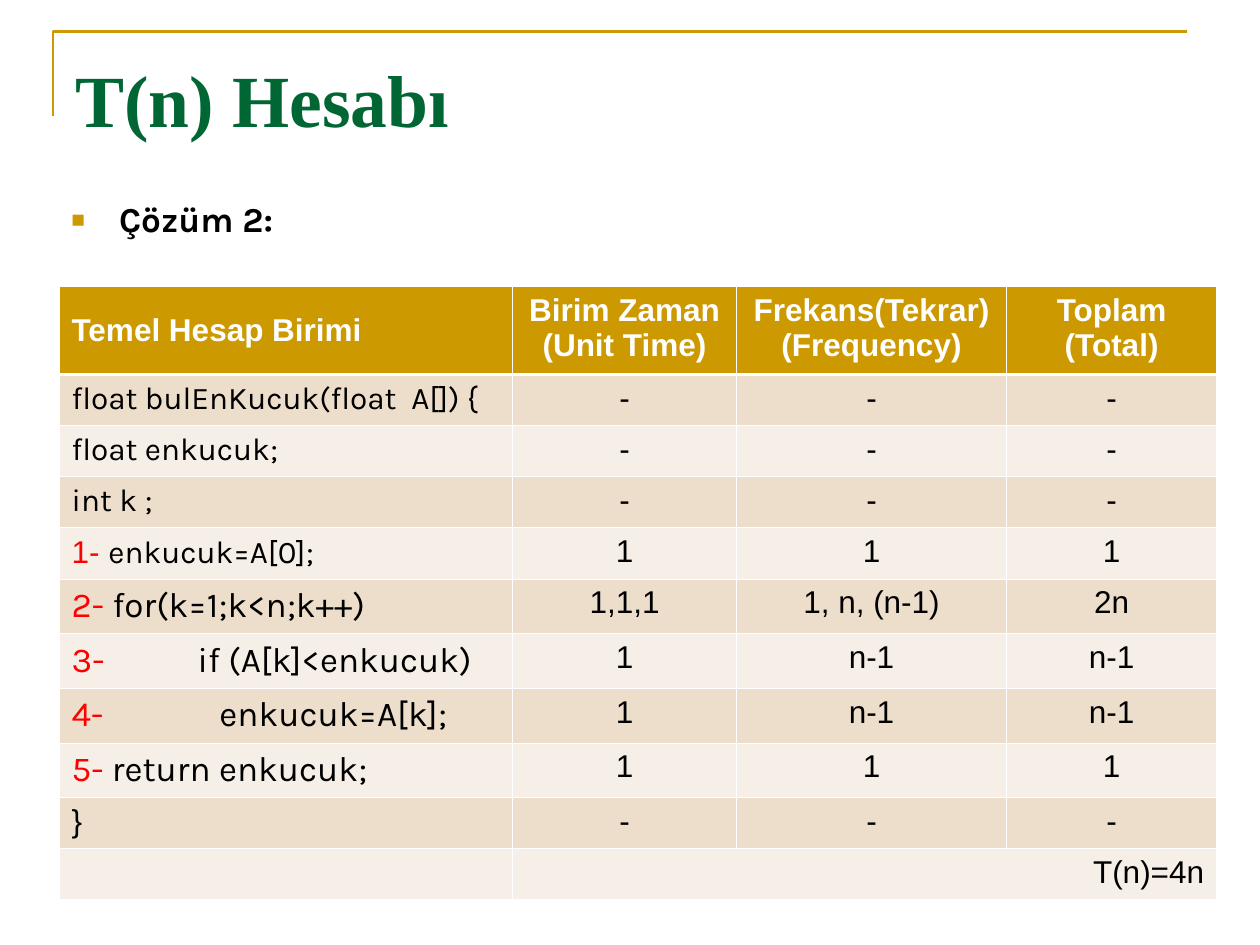
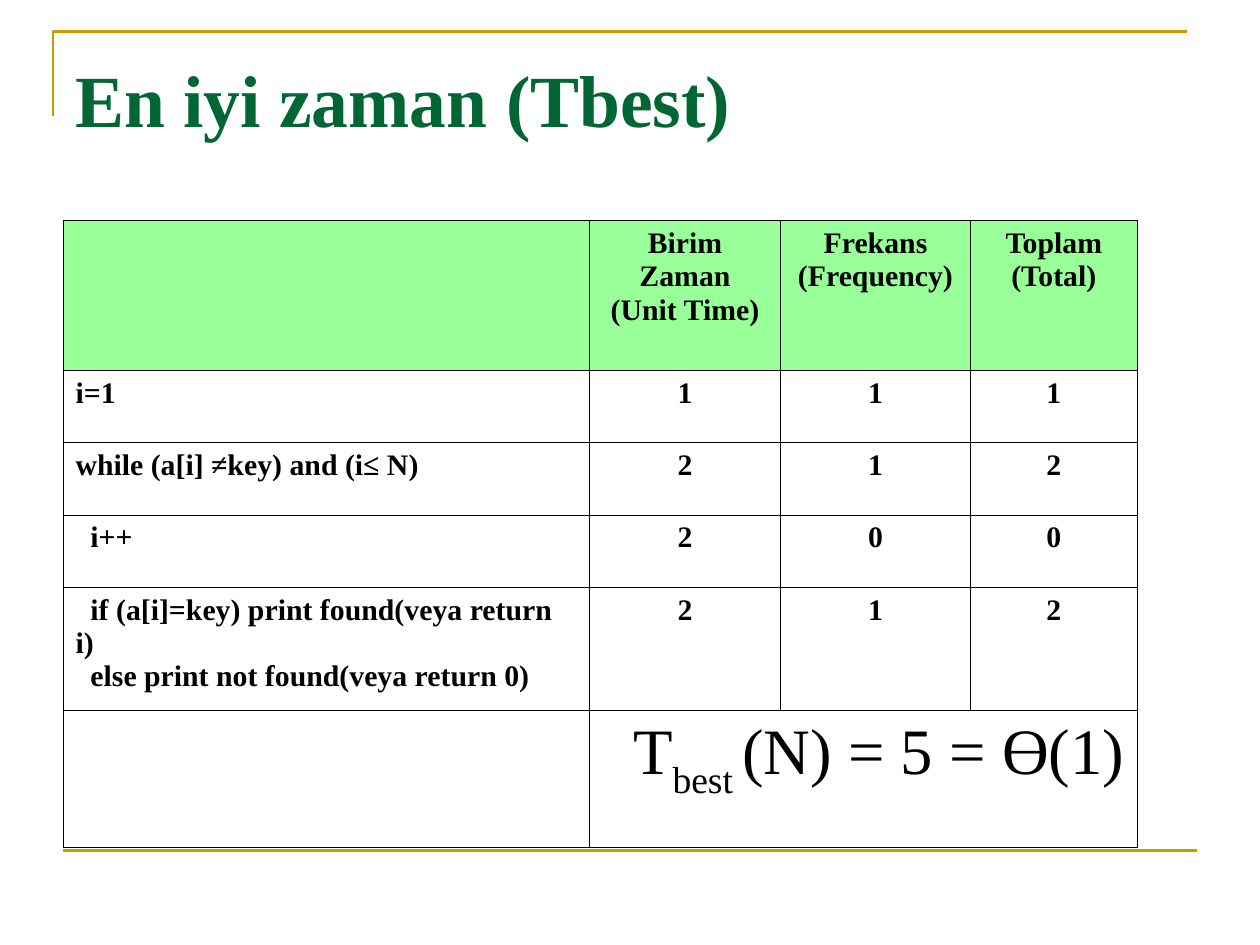
from dataclasses import dataclass

from lxml import etree
from pptx import Presentation
from pptx.dml.color import RGBColor as RGB
from pptx.enum.shapes import MSO_CONNECTOR as CONN
from pptx.enum.text import MSO_ANCHOR as ANCHOR, PP_ALIGN as ALIGN
from pptx.oxml.ns import qn
from pptx.util import Cm, Pt


# Theme
@dataclass(frozen=True)
class Theme:
    gold: str = "CC9900"
    green: str = "006633"
    mint: str = "99FF99"
    bands: tuple = ("ECDECB", "F6EFE7")
    white: str = "FFFFFF"
    black: str = "000000"
    red: str = "FF0000"
    serif: str = "Times New Roman"
    sans: str = "Arial"
    code: str = "Karla"
    title_pt: int = 42
    code_pt: int = 20
    cell_pt: int = 18
    best_pt: int = 17
    result_pt: int = 37
    rule_pt: float = 1.5
    grid_pt: float = 0.45
    header_rule_pt: float = 1.47


T = Theme()

# Content: cost of each line of the minimum search
COST_TITLE = "T(n) Hesabı"
COST_LEAD = "Çözüm 2:"
COST_HEADER = ["Temel Hesap Birimi", "Birim Zaman\n(Unit Time)",
               "Frekans(Tekrar)\n(Frequency)", "Toplam\n(Total)"]
# line number, code, tab stop in cm (0 for none), costs
COST_ROWS = [
    ("", "float bulEnKucuk(float  A[]) {", 0, ["-", "-", "-"]),
    ("", "float enkucuk;", 0, ["-", "-", "-"]),
    ("", "int k ;", 0, ["-", "-", "-"]),
    ("1- ", "enkucuk=A[0];", 0, ["1", "1", "1"]),
    ("2- ", "for(k=1;k<n;k++)", 0, ["1,1,1", "1, n, (n-1)", "2n"]),
    ("3-\t", "if (A[k]<enkucuk)", 2.54, ["1", "n-1", "n-1"]),
    ("4-\t", "enkucuk=A[k];", 2.98, ["1", "n-1", "n-1"]),
    ("5- ", "return enkucuk;", 0, ["1", "1", "1"]),
    ("", "}", 0, ["-", "-", "-"]),
]
COST_RESULT = "T(n)=4n"
COST_COLS = [9.14, 4.52, 5.44, 4.24]
COST_HEADER_H, COST_ROW_H, COST_TALL_H = 1.78, 1.03, 1.1

# Content: best case of the linear search
BEST_TITLE = "En iyi zaman (Tbest)"
BEST_ROWS = [
    ["", "Birim Zaman\n(Unit Time)", "Frekans\n(Frequency)", "Toplam\n(Total)"],
    ["i=1", "1", "1", "1"],
    ["while (a[i] ≠key) and (i≤ N)", "2", "1", "2"],
    ["  i++", "2", "0", "0"],
    ["  if (a[i]=key) print found(veya return i)\n"
     "  else print not found(veya return 0)", "2", "1", "2"],
]
BEST_RESULT = [("T", 0), ("best ", -30000), ("(N) = 5 = Ө(1)", 0)]
BEST_COLS = [10.62, 3.84, 3.84, 3.35]
BEST_HEIGHTS = [3.01, 1.46, 1.46, 1.46, 2.48, 2.76]


# Text helpers
def set_font(font, name, size, color, bold=False):
    font.name, font.size, font.bold = name, Pt(size), bold
    font.color.rgb = RGB.from_string(color)


def write(tf, text, align, *font):
    """Put each line of text in its own paragraph."""
    for i, line in enumerate(text.split("\n")):
        p = tf.add_paragraph() if i else tf.paragraphs[0]
        p.alignment = align
        if line:
            p.add_run().text = line
        set_font(p.font, *font)


def ppr_child(parent, tag, **attrs):
    return etree.SubElement(parent, qn(tag), attrs)


def text_box(s, left, top, width, height):
    tf = s.shapes.add_textbox(Cm(left), Cm(top), Cm(width), Cm(height)).text_frame
    tf.word_wrap = True
    return tf


# Shared slide frame: corner rule, bottom rule and title
def style_rule(sp):
    sp.line.color.rgb = RGB.from_string(T.gold)
    sp.line.width = Pt(T.rule_pt)


def new_slide(prs, title):
    s = prs.slides.add_slide(prs.slide_layouts[6])
    path = s.shapes.build_freeform(Cm(1.07), Cm(2.34))
    path.add_line_segments([(Cm(1.07), Cm(0.64)), (Cm(23.93), Cm(0.64))], close=False)
    corner = path.convert_to_shape()
    corner.shadow.inherit = False
    corner.fill.background()
    style_rule(corner)
    rule = s.shapes.add_connector(CONN.STRAIGHT, Cm(1.27), Cm(17.15), Cm(24.13), Cm(17.15))
    style_rule(rule)
    etree.SubElement(rule._element.spPr, qn("a:effectLst"))
    tf = text_box(s, 1.27, 0.76, 22.86, 3.18)
    tf.margin_top = Cm(0.33)
    write(tf, title, ALIGN.LEFT, T.serif, T.title_pt, T.green, True)
    return s


# Table helpers
def set_borders(cell, color, **widths):
    """Draw the four sides; widths maps a side (L, R, T, B) to its own points."""
    tc_pr = cell._tc.get_or_add_tcPr()
    for i, side in enumerate("LRTB"):
        ln = etree.Element(qn(f"a:ln{side}"), w=str(Pt(widths.get(side, T.grid_pt))))
        fill = etree.SubElement(ln, qn("a:solidFill"))
        etree.SubElement(fill, qn("a:srgbClr"), val=color)
        tc_pr.insert(i, ln)


def set_fill(cell, color):
    if color:
        cell.fill.solid()
        cell.fill.fore_color.rgb = RGB.from_string(color)
    else:
        cell.fill.background()


def new_table(s, left, top, cols, heights):
    """Add a plain table whose last row joins every column but the first."""
    table = s.shapes.add_table(len(heights), len(cols), Cm(left), Cm(top),
                               Cm(sum(cols)), Cm(sum(heights))).table
    table.first_row = table.horz_banding = False
    for col, width in zip(table.columns, cols):
        col.width = Cm(width)
    for row, height in zip(table.rows, heights):
        row.height = Cm(height)
    last = len(heights) - 1
    table.cell(last, 1).merge(table.cell(last, len(cols) - 1))
    return table


def column_align(c):
    return ALIGN.CENTER if c else ALIGN.LEFT


def write_code(cell, number, code, tab, size):
    p = cell.text_frame.paragraphs[0]
    if tab:
        tabs = ppr_child(p._p.get_or_add_pPr(), "a:tabLst")
        ppr_child(tabs, "a:tab", pos=str(Cm(tab)), algn="l")
    code_font = T.sans if code == "}" else T.code
    number_font = T.code if size == T.code_pt else T.sans
    parts = [(number, number_font, T.red), (code, code_font, T.black)]
    for text, name, color in parts:
        if text:
            r = p.add_run()
            r.text = text
            set_font(r.font, name, size, color)


# Slide 1: cost table
def cost_slide(prs):
    s = new_slide(prs, COST_TITLE)
    tf = text_box(s, 1.19, 3.96, 22.86, 1.3)
    p = tf.paragraphs[0]
    ppr = p._p.get_or_add_pPr()
    ppr.set("marL", str(Cm(0.96)))
    ppr.set("indent", str(-Cm(0.96)))
    ppr_child(ppr_child(ppr, "a:buClr"), "a:srgbClr", val=T.gold)
    ppr_child(ppr, "a:buSzPct", val="65000")
    ppr_child(ppr, "a:buFont", typeface=T.sans)
    ppr_child(ppr, "a:buChar", char="■")
    p.line_spacing = 0.9
    write(tf, COST_LEAD, ALIGN.JUSTIFY, T.code, T.code_pt, T.black, True)

    # Numbered lines after the first are set larger
    sizes = [T.code_pt if number and number != "1- " else T.cell_pt
             for number, *_ in COST_ROWS]
    heights = [COST_HEADER_H]
    heights += [COST_TALL_H if size == T.code_pt else COST_ROW_H for size in sizes]
    heights.append(COST_ROW_H)
    table = new_table(s, 1.19, 5.77, COST_COLS, heights)

    for c, text in enumerate(COST_HEADER):
        write(table.cell(0, c).text_frame, text, column_align(c),
              T.sans, T.cell_pt, T.white, True)
    table.cell(0, 0).vertical_anchor = ANCHOR.MIDDLE
    for r, ((number, code, tab, costs), size) in enumerate(zip(COST_ROWS, sizes), 1):
        write_code(table.cell(r, 0), number, code, tab, size)
        for c, cost in enumerate(costs, 1):
            write(table.cell(r, c).text_frame, cost, ALIGN.CENTER,
                  T.sans, T.cell_pt, T.black)
    write(table.cell(len(heights) - 1, 1).text_frame, COST_RESULT, ALIGN.RIGHT,
          T.sans, T.cell_pt, T.black)

    for r in range(len(heights)):
        edge = {0: {"B": T.header_rule_pt}, 1: {"T": T.header_rule_pt}}.get(r, {})
        for c in range(len(COST_COLS)):
            set_fill(table.cell(r, c), T.bands[(r - 1) % 2] if r else T.gold)
            set_borders(table.cell(r, c), T.white, **edge)


# Slide 2: best case table
def best_slide(prs):
    s = new_slide(prs, BEST_TITLE)
    table = new_table(s, 1.27, 4.45, BEST_COLS, BEST_HEIGHTS)
    for r, row in enumerate(BEST_ROWS):
        for c, text in enumerate(row):
            write(table.cell(r, c).text_frame, text, column_align(c),
                  T.serif, T.best_pt, T.black, True)

    p = table.cell(len(BEST_ROWS), 1).text_frame.paragraphs[0]
    p.alignment = ALIGN.RIGHT
    for text, baseline in BEST_RESULT:
        r = p.add_run()
        r.text = text
        if baseline:
            r.font._element.set("baseline", str(baseline))
    set_font(p.font, T.serif, T.result_pt, T.black)

    for r in range(len(BEST_HEIGHTS)):
        for c in range(len(BEST_COLS)):
            set_fill(table.cell(r, c), None if r else T.mint)
            set_borders(table.cell(r, c), T.black)


def main():
    prs = Presentation()
    prs.slide_width, prs.slide_height = Cm(25.4), Cm(19.05)
    cost_slide(prs)
    best_slide(prs)
    prs.save("out.pptx")


if __name__ == "__main__":
    main()
